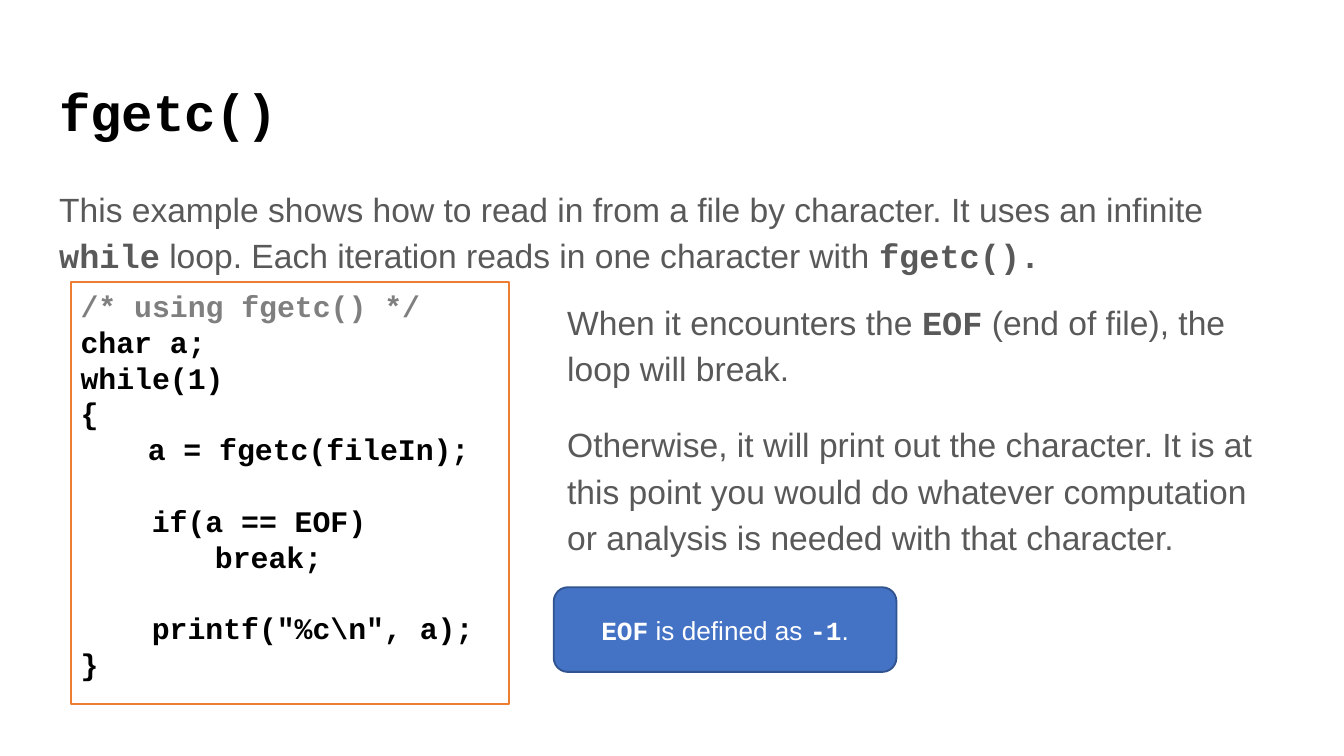
import pptx
import pptx.dml.color
import pptx.enum.shapes
import pptx.enum.text
import pptx.oxml.ns
import pptx.util
from pptx.util import Inches

PROSE, CODE = "Arial", "Courier New"
TOP = pptx.enum.text.MSO_ANCHOR.TOP
MIDDLE = pptx.enum.text.MSO_ANCHOR.MIDDLE
LEFT = pptx.enum.text.PP_ALIGN.LEFT
CENTER = pptx.enum.text.PP_ALIGN.CENTER
SHAPES = pptx.enum.shapes.MSO_SHAPE


def rgb(value):
    """Turn a hex string into a colour."""
    return pptx.dml.color.RGBColor.from_string(value)


def write(paragraph, text, size=18, color="595959", all_code=False,
          align=LEFT, spacing=1.0, before=0, after=0, indent=0):
    """Write text in which backticks switch between prose and bold code."""
    paragraph.alignment = align
    paragraph.line_spacing = spacing
    paragraph.space_before = pptx.util.Pt(before)
    paragraph.space_after = pptx.util.Pt(after)
    properties = paragraph._p.get_or_add_pPr()
    properties.set("marL", str(Inches(indent)))
    properties.set("indent", "0")
    properties.append(properties.makeelement(pptx.oxml.ns.qn("a:buNone"), {}))
    for number, part in enumerate(text.split("`")):
        if part:
            is_code = all_code or number % 2 == 1
            run = paragraph.add_run()
            run.text = part
            run.font.name = CODE if is_code else PROSE
            run.font.bold = is_code
            run.font.size = pptx.util.Pt(size)
            run.font.color.rgb = rgb(color)


def fill_frame(shape, paragraphs, anchor=TOP, inset=(0.1, 0.1), **style):
    """Set up a text frame and write its (text, format) paragraphs."""
    frame = shape.text_frame
    frame.word_wrap = True
    frame.auto_size = pptx.enum.text.MSO_AUTO_SIZE.NONE
    frame.vertical_anchor = anchor
    frame.margin_left = frame.margin_right = Inches(inset[0])
    frame.margin_top = frame.margin_bottom = Inches(inset[1])
    for number, (text, extra) in enumerate(paragraphs):
        paragraph = frame.add_paragraph() if number else frame.paragraphs[0]
        write(paragraph, text, **{**style, **extra})


def place_text(placeholder, box, paragraphs, **style):
    """Move a placeholder to its box and fill it."""
    placeholder.left, placeholder.top, placeholder.width, placeholder.height = map(Inches, box)
    fill_frame(placeholder, paragraphs, **style)


def add_panel(slide, kind, box, fill, line, paragraphs, **style):
    """Add a filled, outlined shape holding text."""
    panel = slide.shapes.add_shape(kind, *map(Inches, box))
    panel.shadow.inherit = False
    panel.fill.solid()
    panel.fill.fore_color.rgb = rgb(fill)
    panel.line.color.rgb = rgb(line)
    panel.line.width = pptx.util.Pt(1)
    fill_frame(panel, paragraphs, **style)


def add_code(slide, box):
    """Add the code listing."""
    gap = 19.2
    listing = [
        ("/* using fgetc() */", {"color": "7F7F7F"}),
        ("char a;", {}),
        ("while(1)", {}),
        ("{", {}),
        ("a = fgetc(fileIn);", {"indent": 0.5}),
        ("if(a == EOF)", {"indent": 0.53, "before": gap}),
        ("break;", {"indent": 1}),
        ('printf("%c\\n", a);', {"indent": 0.53, "before": gap}),
        ("}", {}),
    ]
    add_panel(slide, SHAPES.RECTANGLE, box, "FFFFFF", "ED7D31", listing,
              inset=(0.07, 0.04), size=16, color="000000", all_code=True)


def add_explanation(slide, placeholder, box):
    """Place the explanation with the EOF note below it."""
    left, top, width, height = box
    place_text(placeholder, box, [
        ("When it encounters the `EOF` (end of file), the loop will break.", {}),
        ("Otherwise, it will print out the character. It is at this point you would do "
         "whatever computation or analysis is needed with that character.",
         {"before": 16, "after": 16}),
    ], spacing=1.15)
    add_panel(slide, SHAPES.ROUNDED_RECTANGLE, (left, top + height, 2.55, 0.63),
              "4472C4", "31538F", [("`EOF` is defined as `-1`.", {})],
              anchor=MIDDLE, inset=(0.1, 0.05), size=14, color="FFFFFF", align=CENTER)


def build_slide(deck):
    """Build the fgetc() slide."""
    slide = deck.slides.add_slide(deck.slide_layouts[3])
    title, introduction, explanation = list(slide.placeholders)[:3]
    place_text(title, (0.34, 0.49, 9.32, 0.63), [("`fgetc()`", {})], size=28, color="000000")
    place_text(introduction, (0.34, 1.26, 9.32, 3.74), [
        ("This example shows how to read in from a file by character. It uses an infinite "
         "`while` loop. Each iteration reads in one character with `fgetc().`", {"after": 16}),
    ], spacing=1.15)
    add_code(slide, (0.53, 2.1, 3.26, 3.14))
    add_explanation(slide, explanation, (4.12, 2.1, 5.35, 2.27))


deck = pptx.Presentation()
deck.slide_width = Inches(10)
deck.slide_height = deck.slide_width * 9 // 16
build_slide(deck)
deck.save("out.pptx")
